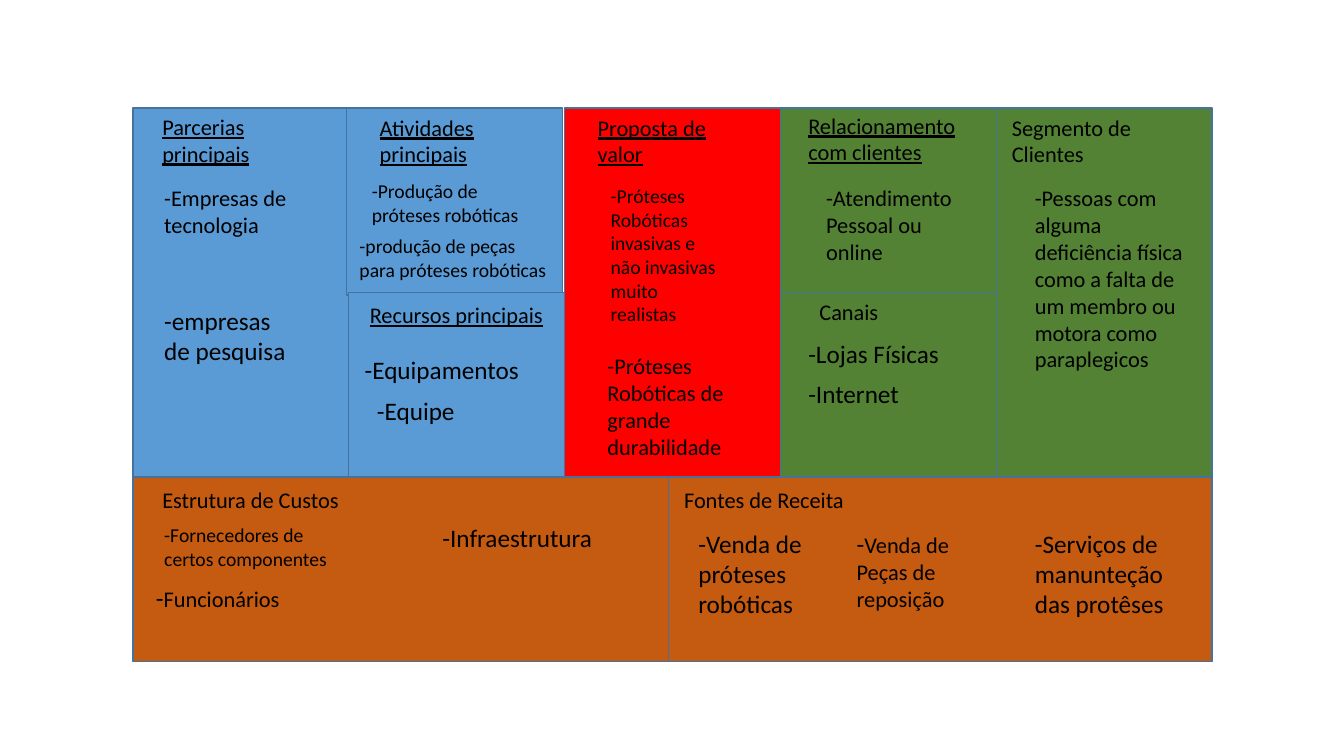
from pptx import Presentation
from pptx.dml.color import RGBColor
from pptx.enum.shapes import MSO_SHAPE as Shape
from pptx.enum.text import MSO_AUTO_SIZE as AutoSize
from pptx.util import Cm, Pt


def color(value):
    return RGBColor.from_string(value)


def add_text(left, top, width, lines, runs, underline=None):
    tallest = max(size for words, size in runs)
    height = lines * tallest * 1.2 * 2.54 / 72 + 0.25
    box = page.shapes.add_textbox(Cm(left), Cm(top), Cm(width), Cm(height))
    frame = box.text_frame
    frame.word_wrap = True
    frame.auto_size = AutoSize.SHAPE_TO_FIT_TEXT
    para = frame.paragraphs[0]
    for words, size in runs:
        span = para.add_run()
        span.text = words
        span.font.color.rgb = color("000000")
        font_format = {"name": "Calibri", "size": Pt(size), "underline": underline}
        for key, value in font_format.items():
            setattr(span.font, key, value)


deck = Presentation()
deck.slide_width, deck.slide_height = Cm(33.87), Cm(19.05)
page = deck.slides.add_slide(deck.slide_layouts[6])

BLUE, RED, GREEN, ORANGE = "5B9BD5", "FF0000", "548235", "C55A11"
left_edge, top_edge, column, tall, half = 3.35, 2.72, 5.44, 9.3, 4.65
columns = [left_edge + column * index for index in range(5)]
middle, bottom = top_edge + half, top_edge + tall
costs_width = 13.5

panels = [
    (columns[0], top_edge, column, tall, BLUE),
    (columns[1] - 0.05, top_edge, column, half + 0.07, BLUE),
    (columns[4], top_edge, column, tall, GREEN),
    (columns[3], top_edge, column, half, GREEN),
    (columns[2], top_edge, column, tall, RED),
    (columns[1], middle, column, half, BLUE),
    (columns[3], middle, column, half, GREEN),
    (left_edge, bottom, costs_width, half, ORANGE),
    (left_edge + costs_width, bottom, 5 * column - costs_width, half, ORANGE),
]
for left, top, width, height, fill in panels:
    panel = page.shapes.add_shape(
        Shape.RECTANGLE, Cm(left), Cm(top), Cm(width), Cm(height))
    panel.shadow.inherit = False
    panel.fill.solid()
    panel.fill.fore_color.rgb = color(fill)
    panel.line.color.rgb = color("43739E")
    panel.line.width = Pt(1)

headings = [
    (3.84, 2.72, 4.39, 2, "Parcerias principais", True),
    (9.32, 2.74, 4.39, 2, "Atividades principais", True),
    (14.81, 2.74, 4.39, 2, "Proposta de valor", True),
    (20.12, 2.69, 4.27, 2, "Relacionamento com clientes", True),
    (25.25, 2.74, 4.88, 2, "Segmento de Clientes", None),
    (9.07, 7.47, 4.93, 1, "Recursos principais", True),
    (20.4, 7.39, 3.99, 1, "Canais", None),
    (3.84, 12.12, 5.49, 1, "Estrutura de Custos", None),
    (16.99, 12.12, 4.72, 1, "Fontes de Receita", None),
]
for left, top, width, lines, words, underline in headings:
    add_text(left, top, width, lines, [(words, 16)], underline)

items = [
    (3.89, 4.52, 4.11, 2, [("-Empresas de tecnologia", 16)]),
    (3.89, 7.57, 3.76, 2, [("-empresas de pesquisa", 18)]),
    (9.12, 4.39, 4.27, 2, [("-Produção de próteses robóticas", 14)]),
    (8.81, 5.77, 5.36, 2, [("-produção de peças para próteses robóticas", 14)]),
    (8.94, 8.81, 4.6, 1, [("-Equipamentos", 18)]),
    (9.25, 9.83, 4.17, 1, [("-Equipe", 18)]),
    (15.14, 4.52, 3.4, 6,
     [("-Próteses Robóticas invasivas e não invasivas muito realistas", 14)]),
    (15.06, 8.76, 3.86, 4, [("-Próteses Robóticas de grande durabilidade", 16)]),
    (20.57, 4.52, 3.81, 3, [("-Atendimento Pessoal ou online", 16)]),
    (20.12, 8.41, 3.89, 1, [("-Lojas Físicas", 18)]),
    (20.12, 9.42, 4.27, 1, [("-Internet", 18)]),
    (25.83, 4.52, 4.5, 7,
     [("-Pessoas com alguma deficiência física como a falta de "
       "um membro ou motora como paraplegicos", 16)]),
    (3.89, 13.06, 5.03, 2, [("-Fornecedores de certos componentes", 14)]),
    (3.68, 14.55, 5.05, 1, [("-", 18), ("Funcionários", 16)]),
    (10.9, 13.03, 4.5, 1, [("-Infraestrutura", 18)]),
    (17.35, 13.18, 3.51, 3, [("-Venda de próteses robóticas", 18)]),
    (21.34, 13.18, 3.78, 3, [("-", 18), ("Venda de Peças de reposição", 16)]),
    (25.83, 13.18, 4.04, 3, [("-Serviços de manunteção das protêses", 18)]),
]
for left, top, width, lines, runs in items:
    add_text(left, top, width, lines, runs)

deck.save("out.pptx")
